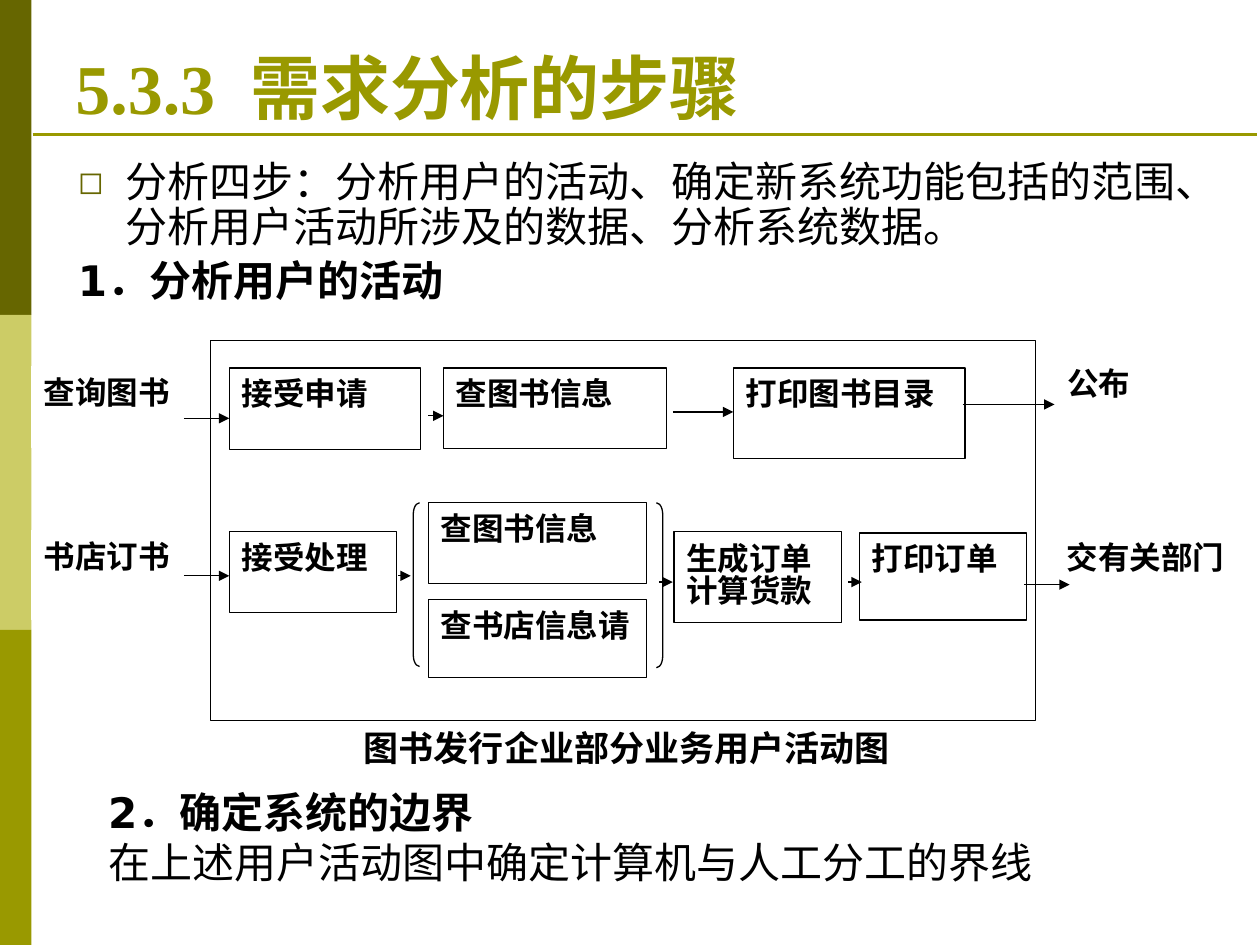
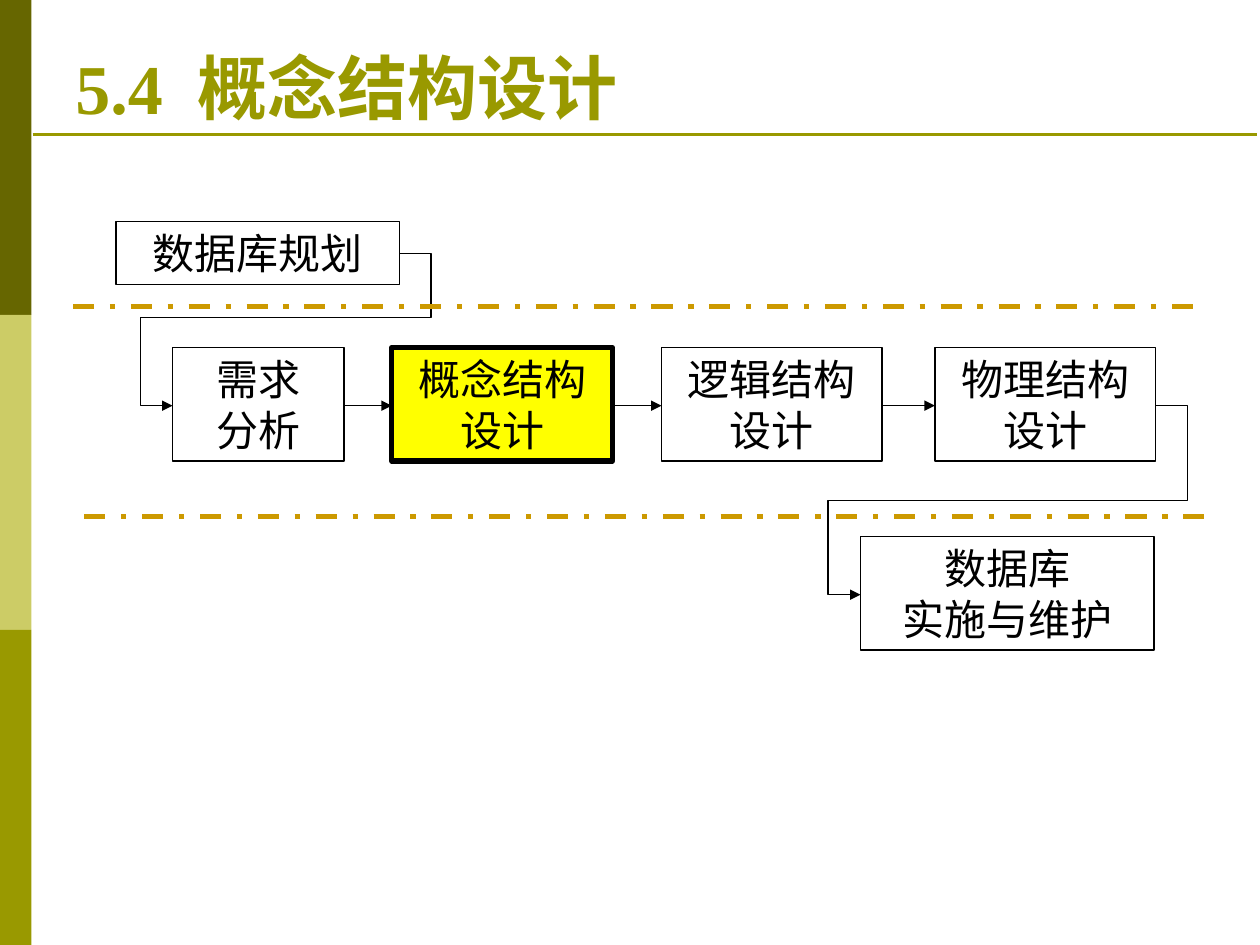
from lxml import etree
from pptx import Presentation
from pptx.dml.color import RGBColor
from pptx.enum.dml import MSO_LINE_DASH_STYLE as Dash
from pptx.enum.shapes import MSO_CONNECTOR as Link, MSO_SHAPE as Shape
from pptx.enum.text import MSO_ANCHOR as Anchor, PP_ALIGN as Align
from pptx.oxml.ns import qn
from pptx.util import Inches, Pt

SERIF, SANS = "Times New Roman", "DejaVu Sans"
BLACK, WHITE, YELLOW, GOLD = "000000", "FFFFFF", "FFFF00", "CC9900"
DARK, PALE, OLIVE = "666600", "CCCC66", "999900"
BANDS = (DARK, PALE, OLIVE)


def color(code):
    """Turn a hex string into a colour."""
    return RGBColor.from_string(code)


def write(frame, text, size=24, font=SERIF, ink=BLACK, bold=False,
          align=None, leading=None, before=None, bullet=None):
    """Add the lines of a text to a frame, filling its first paragraph if empty."""
    for line in text.split("\n"):
        first = frame.paragraphs[0]
        para = frame.add_paragraph() if first.runs else first
        if bullet:
            add_bullet(para, bullet)
        para.alignment = align
        para.line_spacing = leading
        para.space_before = before
        span = para.add_run()
        span.text = line
        span.font.size, span.font.name, span.font.bold = Pt(size), font, bold
        span.font.color.rgb = color(ink)


def add_bullet(para, mark):
    """Give a paragraph a small dark bullet with a hanging indent."""
    props = para._p.get_or_add_pPr()
    props.set("marL", str(Inches(0.38)))
    props.set("indent", str(-Inches(0.38)))
    tint = etree.SubElement(props, qn("a:buClr"))
    etree.SubElement(tint, qn("a:srgbClr"), val=DARK)
    etree.SubElement(props, qn("a:buSzPct"), val="75000")
    etree.SubElement(props, qn("a:buFont"), typeface=SANS)
    etree.SubElement(props, qn("a:buChar"), char=mark)


def add_text(page, left, top, width, height, anchor=Anchor.TOP):
    """Add a wrapping text box and return its frame."""
    box = page.shapes.add_textbox(Inches(left), Inches(top), Inches(width), Inches(height))
    box.text_frame.word_wrap = True
    box.text_frame.vertical_anchor = anchor
    return box.text_frame


def add_box(page, left, top, width, height, text="", kind=Shape.RECTANGLE,
            fill=WHITE, line=BLACK, weight=0.75, anchor=Anchor.TOP, **style):
    """Add a preset shape with an optional label and return it."""
    box = page.shapes.add_shape(kind, Inches(left), Inches(top), Inches(width), Inches(height))
    box.shadow.inherit = False
    if fill:
        box.fill.solid()
        box.fill.fore_color.rgb = color(fill)
    else:
        box.fill.background()
    if line:
        box.line.color.rgb = color(line)
        box.line.width = Pt(weight)
    else:
        box.line.fill.background()
    if text:
        box.text_frame.word_wrap = True
        box.text_frame.vertical_anchor = anchor
        write(box.text_frame, text, **style)
    return box


def add_bracket(page, kind, left, height, bend):
    """Add a bracket around the two parallel look-ups."""
    bracket = add_box(page, left, 3.99, 0.05, height, kind=kind, fill=None)
    bracket.adjustments[0] = bend


def add_line(page, start, end, ink=BLACK, weight=0.75, dash=None, arrow=False, bends=None):
    """Add a straight line, or an elbow when bends are given."""
    ends = [Inches(value) for value in (*start, *end)]
    link = page.shapes.add_connector(Link.ELBOW if bends else Link.STRAIGHT, *ends)
    link.line.color.rgb = color(ink)
    link.line.width = Pt(weight)
    if dash:
        link.line.dash_style = dash
    props = link._element.spPr
    if arrow:
        etree.SubElement(props.find(qn("a:ln")), qn("a:tailEnd"), type="triangle")
    if bends:
        shape = props.find(qn("a:prstGeom"))
        shape.set("prst", "bentConnector5")
        guides = shape.find(qn("a:avLst"))
        for number, bend in enumerate(bends, 1):
            etree.SubElement(guides, qn("a:gd"), name=f"adj{number}",
                             fmla=f"val {round(bend * 100000)}")
    etree.SubElement(props, qn("a:effectLst"))


def add_page(deck, number, title):
    """Add a slide with the side bands, the rule and the title."""
    page = deck.slides.add_slide(deck.slide_layouts[6])
    for row, band in enumerate(BANDS):
        add_box(page, 0, 2.5 * row, 0.25, 2.5, fill=band, line=None)
    add_line(page, (0.26, 1.07), (9.98, 1.07), ink=OLIVE, weight=1.5)
    frame = add_text(page, 0.5, 0.3, 9, 0.77, Anchor.BOTTOM)
    write(frame, f"{number} {title}", size=40, ink=OLIVE, bold=True)
    widen_gap(frame.paragraphs[0], number, title)
    return page


def widen_gap(para, number, title):
    """Widen the space between the section number and the title."""
    head = para.runs[0]
    head.text = number
    for text, spacing in ((" ", "1000"), (title, "0")):
        span = para.add_run()
        span.text = text
        span.font.size, span.font.name, span.font.bold = head.font.size, head.font.name, True
        span.font.color.rgb = head.font.color.rgb
        span.font._element.set("spc", spacing)


def draw_activities(page):
    """Draw the user activity diagram."""
    label = {"size": 18, "bold": True, "align": Align.JUSTIFY}
    add_box(page, 2.4, 5.72, 5.15, 0.64, "图书发行企业部分业务用户活动图",
            line=WHITE, size=20, bold=True, align=Align.CENTER)
    add_box(page, 1.67, 2.7, 6.55, 3.02)
    for left, top, width, height, text in (
            (0.25, 2.91, 1.33, 0.64, "查询图书"),
            (8.37, 2.84, 1.21, 0.82, "公布"),
            (0.25, 4.21, 1.33, 0.71, "书店订书"),
            (8.37, 4.22, 1.63, 0.68, "交有关部门")):
        add_box(page, left, top, width, height, text, line=WHITE, **label)
    for left, top, width, height, text in (
            (1.82, 2.92, 1.52, 0.65, "接受申请"),
            (3.52, 2.92, 1.77, 0.64, "查图书信息"),
            (5.82, 2.92, 1.84, 0.72, "打印图书目录"),
            (1.82, 4.22, 1.33, 0.64, "接受处理"),
            (3.4, 4.76, 1.73, 0.62, "查书店信息请"),
            (3.4, 3.99, 1.73, 0.64, "查图书信息"),
            (6.82, 4.23, 1.33, 0.69, "打印订单")):
        add_box(page, left, top, width, height, text, **label)
    add_box(page, 5.35, 4.22, 1.33, 0.72, "生成订单\n计算货款",
            anchor=Anchor.MIDDLE, leading=Pt(18), **label)
    add_bracket(page, Shape.LEFT_BRACKET, 3.28, 1.3, 1.83)
    add_bracket(page, Shape.RIGHT_BRACKET, 5.21, 1.31, 1.89)
    for start, end, y in (
            (1.46, 1.82, 3.32), (3.4, 3.52, 3.3), (5.34, 5.82, 3.27), (7.64, 8.37, 3.21),
            (1.46, 1.82, 4.57), (3.16, 3.26, 4.57), (5.23, 5.34, 4.62),
            (6.73, 6.84, 4.62), (8.13, 8.49, 4.64)):
        add_line(page, (start, y), (end, y), arrow=True)


def build_analysis(deck):
    """Build the slide on the steps of requirements analysis."""
    page = add_page(deck, "5.3.3", "需求分析的步骤")
    body = add_text(page, 0.52, 1.23, 9, 1.5)
    write(body, "分析四步：分析用户的活动、确定新系统功能包括的范围、分析用户活动所涉及的数据、分析系统数据。",
          font=SANS, leading=0.9, bullet="◻")
    write(body, "1．分析用户的活动", font=SANS, bold=True, leading=0.9, before=Pt(4.8))
    draw_activities(page)
    boundary = add_text(page, 0.76, 6.19, 7.94, 0.91)
    write(boundary, "2．确定系统的边界", font=SANS, bold=True)
    write(boundary, "在上述用户活动图中确定计算机与人工分工的界线", font=SANS)


def build_design(deck):
    """Build the slide placing conceptual design among the design stages."""
    page = add_page(deck, "5.4", "概念结构设计")
    stages = ((1.37, 1.36, "需求\n分析"), (3.11, 1.75, "概念结构设计"),
              (5.25, 1.75, "逻辑结构设计"), (7.42, 1.75, "物理结构设计"))
    top, middle = 2.76, 3.22
    for left, width, text in stages:
        current = text == "概念结构设计"
        add_box(page, left, top, width, 0.9, text, fill=YELLOW if current else WHITE,
                weight=3 if current else 0.75, align=Align.CENTER)
    add_box(page, 6.83, 4.26, 2.33, 0.9, "数据库\n实施与维护", align=Align.CENTER)
    add_box(page, 0.92, 1.76, 2.25, 0.5, "数据库规划", align=Align.CENTER)
    for (left, width, _), (target, _, _) in zip(stages, stages[1:]):
        add_line(page, (left + width, middle), (target, middle), arrow=True)
    add_line(page, (3.17, 2.01), (1.37, middle), arrow=True, bends=(-0.14, 0.42, 1.14))
    add_line(page, (9.17, middle), (6.83, 4.72), arrow=True, bends=(-0.11, 0.5, 1.11))
    for left, y in ((0.58, 2.43), (0.67, 4.1)):
        add_line(page, (left, y), (left + 8.92, y), ink=GOLD, weight=3, dash=Dash.DASH_DOT)


def main():
    """Build and save the deck."""
    deck = Presentation()
    deck.slide_width, deck.slide_height = Inches(10), Inches(7.5)
    build_analysis(deck)
    build_design(deck)
    deck.save("out.pptx")


if __name__ == "__main__":
    main()
